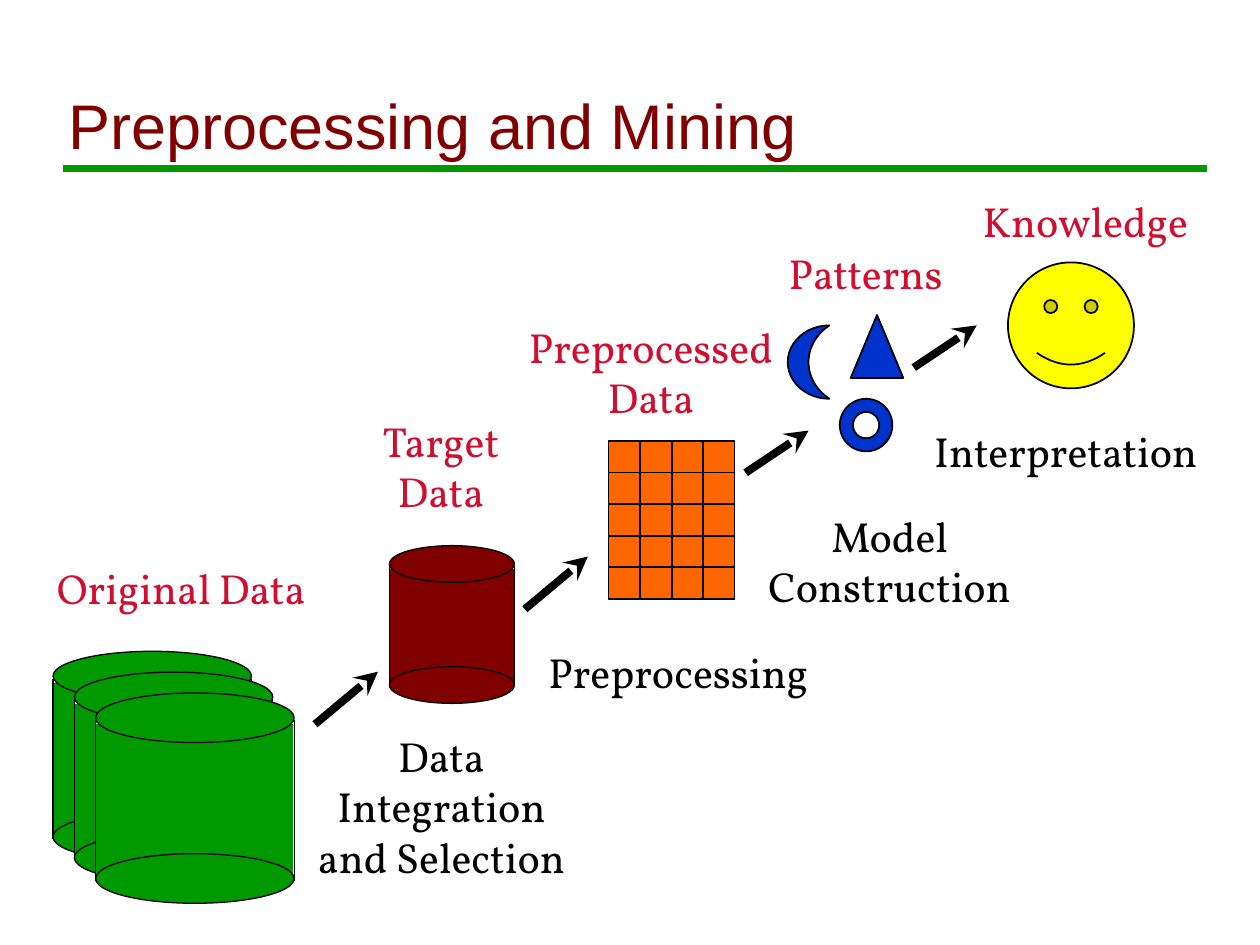
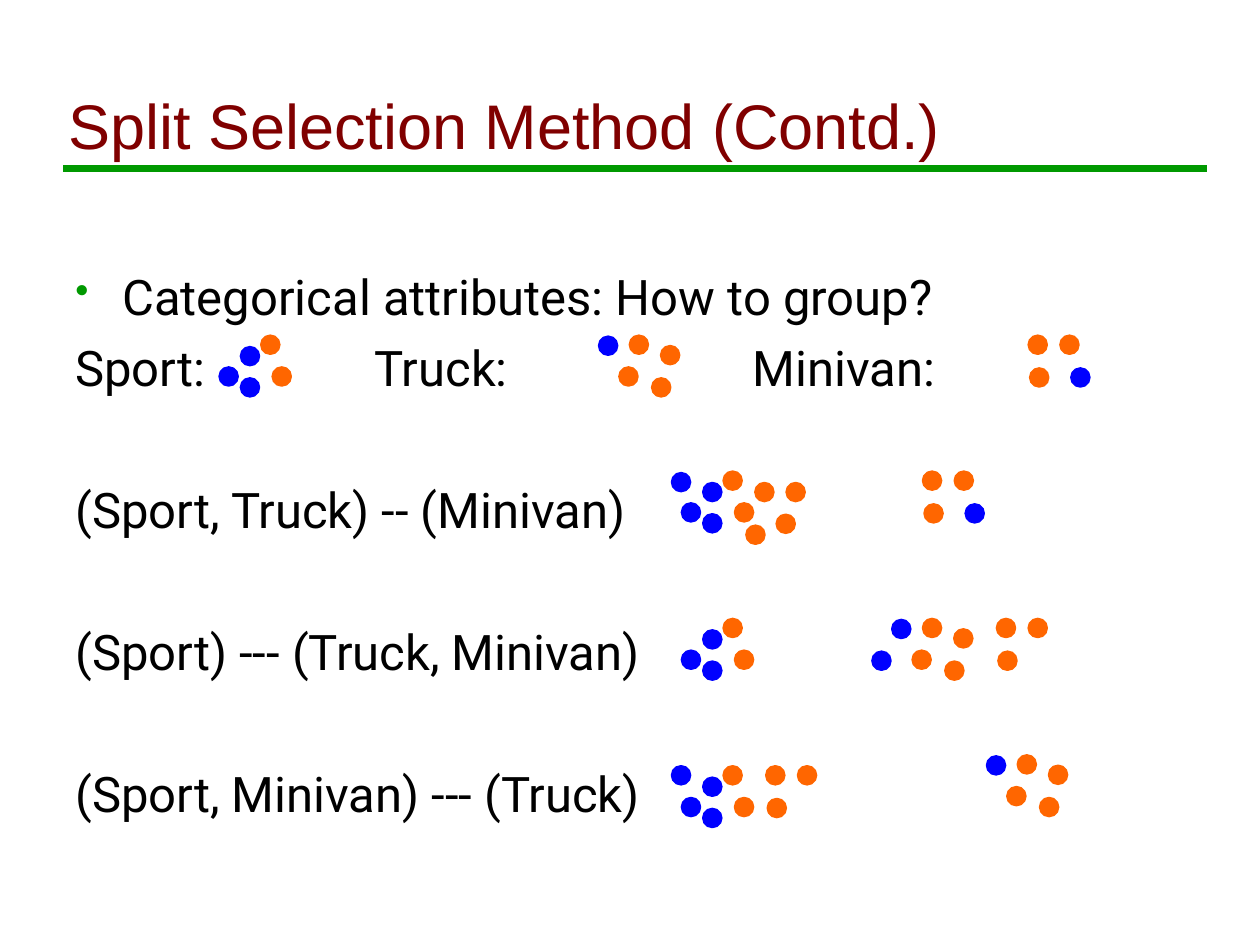
"""Build two slides on data mining: the process and the split method."""
import dataclasses
import typing

import lxml.etree
import pptx
import pptx.dml.color
import pptx.enum.shapes
import pptx.enum.text
import pptx.oxml.ns
import pptx.util

Cm = pptx.util.Cm
Pt = pptx.util.Pt
KIND = pptx.enum.shapes.MSO_SHAPE
ALIGN = pptx.enum.text.PP_ALIGN
Pair = tuple[float, float]

GREEN, MAROON, ORANGE = "009900", "800000", "FF6600"
BLUE, NAVY, YELLOW = "0000FF", "0033CC", "FFFF00"
RED, BLACK, WHITE = "CF0E30", "000000", "FFFFFF"
DOT = 0.38
INDENT = 0.95
TAB = 2.54


@dataclasses.dataclass
class Drum:
    """A cylinder with its top rim at x, y."""
    x: float
    y: float
    wide: float
    rim: float
    drop: float
    fill: str


@dataclasses.dataclass
class Label:
    """A centred caption."""
    text: str
    x: float
    y: float
    wide: float
    color: str = RED


@dataclasses.dataclass
class Icon:
    """A preset shape with a thin black line."""
    kind: typing.Any
    x: float
    y: float
    wide: float
    high: float
    fill: str = NAVY


@dataclasses.dataclass
class Arrow:
    """An arrow that climbs to the right."""
    x: float
    y: float
    rise: float
    run: float = 1.27


@dataclasses.dataclass
class Motif:
    """Offsets of the blue and orange dots in a cluster."""
    blue: tuple[Pair, ...] = ()
    orange: tuple[Pair, ...] = ()


@dataclasses.dataclass
class Cluster:
    """A motif placed at x, y."""
    motif: Motif
    x: float
    y: float


@dataclasses.dataclass
class Row:
    """A line of body text with the gap above it."""
    text: str
    gap: float
    bullet: bool = False


DRUMS = [Drum(1.07 + 0.43 * n, 13.13 + 0.42 * n, 4, 1, 3.24, GREEN)
         for n in range(3)]
DRUMS.append(Drum(7.85, 11, 2.52, 0.74, 2.44, MAROON))

ICONS = [
    Icon(KIND.MOON, 15.88, 6.56, 0.84, 1.48),
    Icon(KIND.ISOSCELES_TRIANGLE, 17.15, 6.35, 1.06, 1.27),
    Icon(KIND.DONUT, 16.93, 8.04, 1.06, 1.06),
    Icon(KIND.SMILEY_FACE, 20.32, 5.29, 2.54, 2.54, YELLOW),
]

ARROWS = [
    Arrow(6.35, 14.6, 1.06),
    Arrow(10.58, 12.28, 1.06),
    Arrow(15.03, 9.53, 0.85),
    Arrow(18.42, 7.41, 0.85),
]

LABELS = [
    Label("Original Data", 0.71, 11.22, 5.89),
    Label("Target\vData", 7.34, 8.25, 3.1),
    Label("Preprocessed\vData", 10.19, 6.35, 5.87),
    Label("Patterns", 15.52, 4.87, 3.86),
    Label("Knowledge", 19.38, 3.81, 5),
    Label("Data\vIntegration\vand Selection", 5.94, 14.6, 5.92, BLACK),
    Label("Preprocessing", 10.59, 12.91, 6.17, BLACK),
    Label("Model\vConstruction", 15.09, 10.16, 5.69, BLACK),
    Label("Interpretation", 18.36, 8.46, 6.25, BLACK),
]

SPORT = Motif(((0.43, 0.86), (0, 0.64), (0.43, 0.23)),
              ((1.07, 0.64), (0.84, 0)))
TRUCK = Motif(((0, 0.02),),
              ((1.25, 0.21), (0.41, 0.64), (0.62, 0), (1.07, 0.86)))
TRIO = Motif(orange=((0.03, 0.66), (0.64, 0), (0, 0)))
VAN = Motif(((0.86, 0.66),), TRIO.orange)
QUAD = Motif(orange=((0.18, 0), (0.61, 0.64), (0.81, 0), (0, 0.86)))
LONE = Motif(((0, 0),))

CLUSTERS = [
    Cluster(SPORT, 4.42, 6.76),
    Cluster(TRUCK, 12.07, 6.76),
    Cluster(VAN, 20.73, 6.76),
    Cluster(SPORT, 13.74, 9.5),
    Cluster(LONE, 13.54, 9.53),
    Cluster(QUAD, 15.04, 9.73),
    Cluster(VAN, 18.6, 9.5),
    Cluster(SPORT, 13.74, 12.47),
    Cluster(TRUCK, 17.98, 12.47),
    Cluster(LONE, 17.58, 13.13),
    Cluster(TRIO, 20.09, 12.47),
    Cluster(SPORT, 13.74, 15.44),
    Cluster(LONE, 13.54, 15.44),
    Cluster(TRIO, 15.44, 15.44),
    Cluster(TRUCK, 19.89, 15.22),
]

ROWS = [
    Row("Categorical attributes: How to group?", 0, True),
    Row("Sport:\t\tTruck:\t\tMinivan:", 7),
    Row("(Sport, Truck) -- (Minivan)", 47.6),
    Row("(Sport) --- (Truck, Minivan)", 47.6),
    Row("(Sport, Minivan) --- (Truck)", 47.6),
]


def paint(code: str) -> pptx.dml.color.RGBColor:
    """Turn a hex string into a colour."""
    return pptx.dml.color.RGBColor.from_string(code)


def put(host, tag: str, **attrs: str):
    """Append a drawing element to its host."""
    return lxml.etree.SubElement(host, pptx.oxml.ns.qn(tag), attrs)


def form(slide, kind, x: float, y: float, wide: float, high: float,
         fill: str, edge: str = BLACK, width: float = 1):
    """Draw a filled preset shape."""
    shape = slide.shapes.add_shape(kind, Cm(x), Cm(y), Cm(wide), Cm(high))
    shape.shadow.inherit = False
    shape.fill.solid()
    shape.fill.fore_color.rgb = paint(fill)
    shape.line.color.rgb = paint(edge)
    shape.line.width = Pt(width)
    return shape


def link(slide, x: float, y: float, right: float, low: float,
         color: str = BLACK, width: float = 1):
    """Draw a straight line."""
    line = slide.shapes.add_connector(
        pptx.enum.shapes.MSO_CONNECTOR.STRAIGHT,
        Cm(x), Cm(y), Cm(right), Cm(low))
    line.line.color.rgb = paint(color)
    line.line.width = Pt(width)
    put(line._element.spPr, "a:effectLst")
    return line


def style(para, font: str, size: float, color: str) -> None:
    """Format the runs of a paragraph."""
    for run in para.runs:
        run.font.name = font
        run.font.size = Pt(size)
        run.font.color.rgb = paint(color)


def frame(slide, x: float, y: float, wide: float, high: float,
          wrap: bool = True):
    """Add a text box and give its text frame."""
    box = slide.shapes.add_textbox(Cm(x), Cm(y), Cm(wide), Cm(high))
    box.text_frame.word_wrap = wrap
    return box.text_frame


def start(deck, title: str):
    """Add a slide with its title and green rule."""
    slide = deck.slides.add_slide(deck.slide_layouts[6])
    link(slide, 1.27, 3.39, 24.33, 3.39, GREEN, 4)
    text = frame(slide, 1.13, 0.65, 22.78, 2.74)
    text.vertical_anchor = pptx.enum.text.MSO_ANCHOR.BOTTOM
    text.text = title
    style(text.paragraphs[0], "Arial", 36, MAROON)
    return slide


def draw_drum(slide, drum: Drum) -> None:
    """Draw a cylinder from a body, two sides and two rims."""
    form(slide, KIND.RECTANGLE, drum.x, drum.y + 0.62 * drum.rim,
         drum.wide, 0.94 * drum.drop, drum.fill, WHITE, 0.75)
    top = drum.y + 0.55 * drum.rim
    for x in (drum.x, drum.x + drum.wide):
        link(slide, x, top, x, top + drum.drop, BLACK, 0.75)
    for y in (drum.y, drum.y + drum.drop):
        form(slide, KIND.OVAL, drum.x, y, drum.wide, drum.rim,
             drum.fill, BLACK, 0.75)


def draw_grid(slide, x: float, y: float, wide: float, high: float,
              cols: int, rows: int) -> None:
    """Draw a ruled orange sheet."""
    sheet = form(slide, KIND.RECTANGLE, x, y, wide, high, ORANGE)
    for n in range(1, rows):
        level = y + high * n / rows
        link(slide, x, level, x + wide, level)
    for n in range(1, cols):
        side = x + wide * n / cols
        line = link(slide, side, y, side, y + high)
        if 2 * n == cols:
            line.begin_connect(sheet, 0)
            line.end_connect(sheet, 2)


def draw_arrow(slide, arrow: Arrow) -> None:
    """Draw a thick arrow."""
    line = link(slide, arrow.x, arrow.y, arrow.x + arrow.run,
                arrow.y - arrow.rise, BLACK, 4.5)
    put(line.line._get_or_add_ln(), "a:tailEnd", type="stealth")


def draw_label(slide, label: Label) -> None:
    """Write a centred caption."""
    high = 1.27 + 1.02 * label.text.count("\v")
    text = frame(slide, label.x, label.y, label.wide, high, False)
    text.text = label.text
    text.paragraphs[0].alignment = ALIGN.CENTER
    style(text.paragraphs[0], "Vollkorn", 24, label.color)


def draw_dots(slide, group: Cluster) -> None:
    """Draw the dots of a cluster."""
    for color, spots in ((BLUE, group.motif.blue),
                         (ORANGE, group.motif.orange)):
        for x, y in spots:
            form(slide, KIND.OVAL, group.x + x, group.y + y, DOT, DOT,
                 color, color)


def write_row(para, row: Row) -> None:
    """Write a body line with its indent, bullet and even tab stops."""
    props = para._p.get_or_add_pPr()
    props.set("marL", str(Cm(INDENT)))
    props.set("indent", str(-Cm(INDENT)))
    props.set("defTabSz", str(Cm(TAB)))
    if row.bullet:
        put(put(props, "a:buClr"), "a:srgbClr", val=GREEN)
        put(props, "a:buSzPct", val="80000")
        put(props, "a:buChar", char="•")
    para.line_spacing = Pt(33.6)
    para.space_before = Pt(row.gap)
    para.text = row.text
    style(para, "Roboto", 28, BLACK)


def main() -> None:
    """Build and save the deck."""
    deck = pptx.Presentation()
    deck.slide_width, deck.slide_height = Cm(25.4), Cm(19.05)

    slide = start(deck, "Preprocessing and Mining")
    for drum in DRUMS:
        draw_drum(slide, drum)
    draw_grid(slide, 12.27, 8.89, 2.54, 3.18, 4, 5)
    for icon in ICONS:
        form(slide, icon.kind, icon.x, icon.y, icon.wide, icon.high, icon.fill)
    for arrow in ARROWS:
        draw_arrow(slide, arrow)
    for label in LABELS:
        draw_label(slide, label)

    slide = start(deck, "Split Selection Method (Contd.)")
    body = frame(slide, 1.27, 5.24, 23.5, 11.58)
    for n, row in enumerate(ROWS):
        write_row(body.add_paragraph() if n else body.paragraphs[0], row)
    for group in CLUSTERS:
        draw_dots(slide, group)
    deck.save("out.pptx")


if __name__ == "__main__":
    main()
